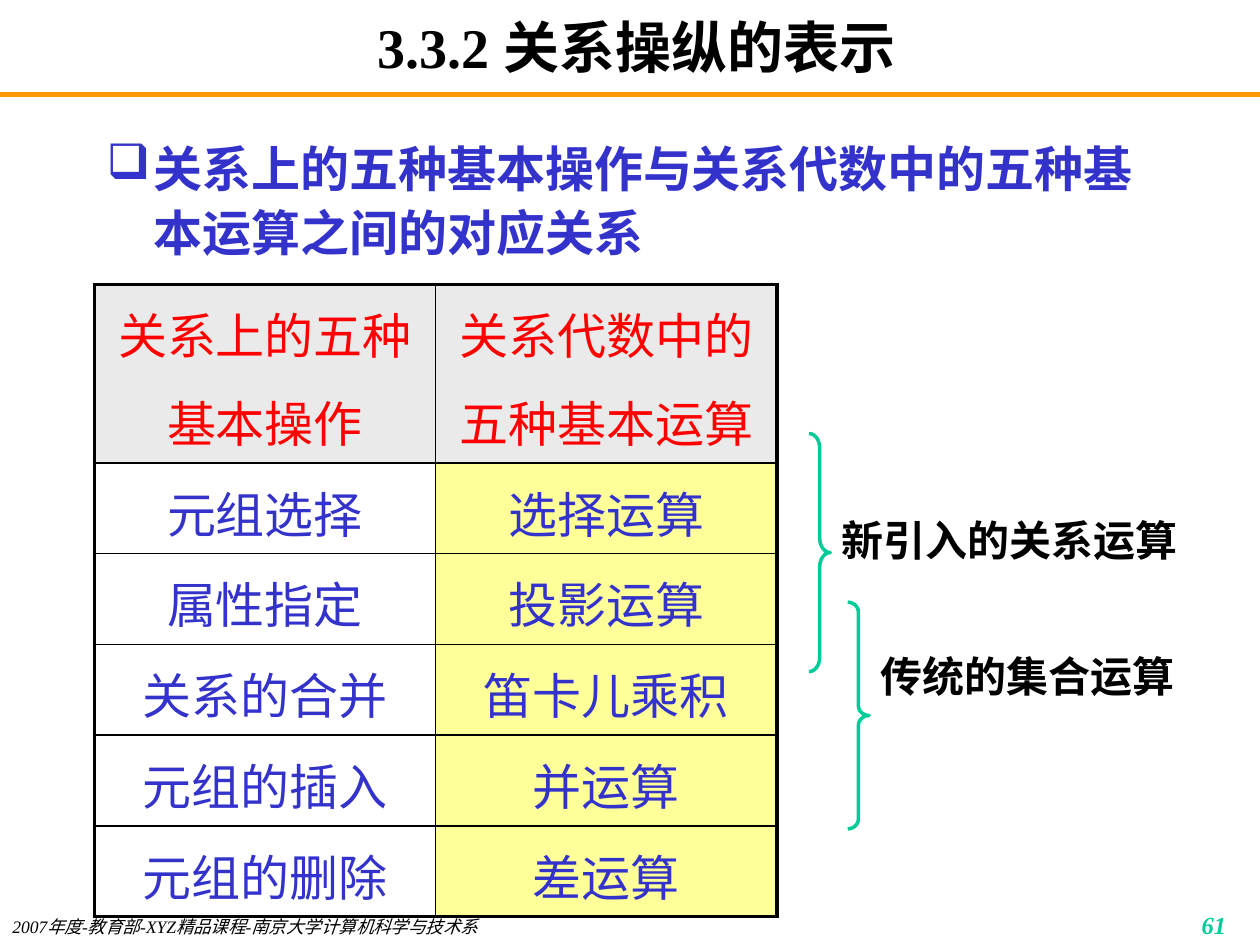
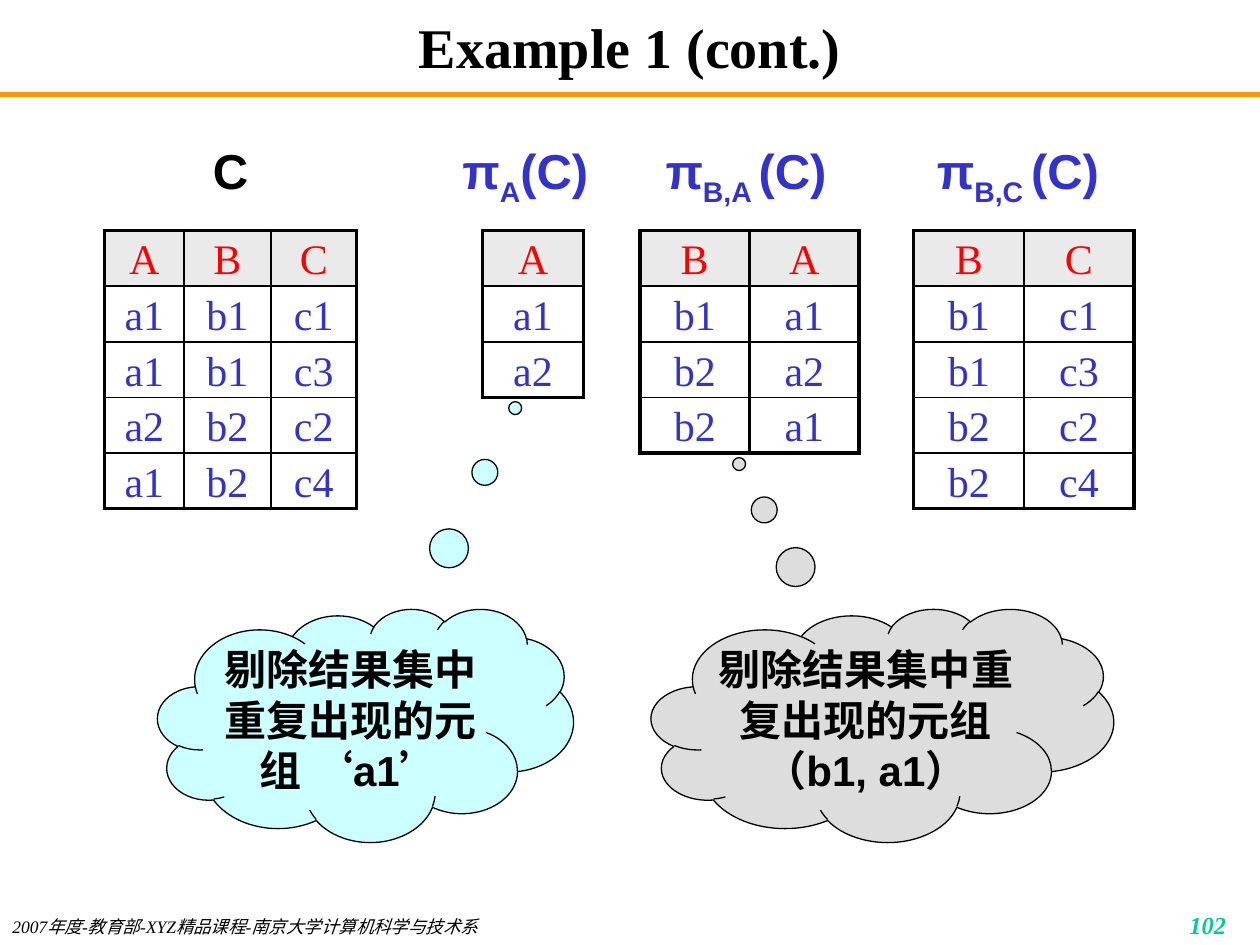
from dataclasses import dataclass
from typing import Optional

from lxml.etree import SubElement
from pptx import Presentation
from pptx.dml.color import RGBColor
from pptx.enum.shapes import MSO_CONNECTOR, MSO_SHAPE
from pptx.enum.text import MSO_ANCHOR, PP_ALIGN
from pptx.oxml.ns import qn
from pptx.util import Cm, Pt


@dataclass(frozen=True)
class Theme:
    serif: str = "Times New Roman"
    sans: str = "Arial"
    chinese: str = "Noto Sans CJK SC"
    black: str = "000000"
    blue: str = "3333CC"
    red: str = "FF0000"
    green: str = "00CC99"
    orange: str = "FF9900"
    header_fill: str = "EAEAEA"
    yellow: str = "FFFF99"
    cyan: str = "CCFFFF"
    grey: str = "DDDDDD"
    title_size: int = 32
    large: int = 28
    medium: int = 24
    page_size: int = 14
    footer_size: int = 10
    outer_line: float = 2.25
    inner_line: float = 1


THEME = Theme()
FOOTER = "2007年度-教育部-XYZ精品课程-南京大学计算机科学与技术系"


@dataclass(frozen=True)
class Box:
    """A place on the slide, in centimetres."""
    left: float
    top: float
    width: float
    height: float

    def lengths(self) -> tuple:
        return Cm(self.left), Cm(self.top), Cm(self.width), Cm(self.height)


@dataclass(frozen=True)
class Grid:
    left: float
    top: float
    columns: tuple
    row_heights: tuple
    rows: tuple
    size: int
    margin: float
    column_line: float = THEME.inner_line
    last_column_fill: Optional[str] = None


@dataclass(frozen=True)
class Relation:
    """A relation on the projection slide, with its heading."""
    name: str
    subscript: str
    color: str
    heading_left: float
    left: float
    columns: tuple
    rows: tuple
    column_line: float = THEME.inner_line


@dataclass(frozen=True)
class BracedGroup:
    label: str
    brace: Box
    curl: float
    label_box: Box


@dataclass(frozen=True)
class Cloud:
    thought: str
    box: Box
    tail: tuple
    fill: str


def rgb(color: str) -> RGBColor:
    return RGBColor.from_string(color)


def add_run(paragraph, text: str, *, size: float, color: str = THEME.black,
            font: str = THEME.serif, bold: bool = False, italic: bool = False,
            baseline: int = 0) -> None:
    run = paragraph.add_run()
    run.text = text
    run.font.size = Pt(size)
    run.font.name = font
    run.font.bold = bold
    run.font.italic = italic
    run.font.color.rgb = rgb(color)
    properties = run.font._element
    properties.set("lang", "zh-CN")
    if baseline:
        properties.set("baseline", str(baseline * 1000))
    SubElement(properties, qn("a:ea")).set("typeface", THEME.chinese)


def set_margins(frame, side: float, end: float) -> None:
    frame.margin_left = frame.margin_right = Cm(side)
    frame.margin_top = frame.margin_bottom = Cm(end)


def add_box(slide, box: Box, align=PP_ALIGN.LEFT, anchor=MSO_ANCHOR.TOP,
            end_margin: float = 0.13):
    """Add a wrapping text box and return its first paragraph."""
    frame = slide.shapes.add_textbox(*box.lengths()).text_frame
    frame.word_wrap = True
    frame.vertical_anchor = anchor
    set_margins(frame, 0.25, end_margin)
    frame.paragraphs[0].alignment = align
    return frame.paragraphs[0]


def add_base(presentation, title: str, page: int):
    """Add a slide with the title, rule, footer and page number."""
    slide = presentation.slides.add_slide(presentation.slide_layouts[6])
    rule = slide.shapes.add_connector(
        MSO_CONNECTOR.STRAIGHT, Cm(0), Cm(1.9), Cm(25.4), Cm(1.9))
    rule.line.color.rgb = rgb(THEME.orange)
    rule.line.width = Pt(3)
    SubElement(rule._element.spPr, qn("a:effectLst"))
    add_run(add_box(slide, Box(0, 18.34, 15.5, 0.71)), FOOTER,
            size=THEME.footer_size, italic=True)
    add_run(add_box(slide, Box(19.69, 18.21, 5.28, 0.64), PP_ALIGN.RIGHT),
            str(page), size=THEME.page_size, color=THEME.green, bold=True, italic=True)
    add_run(add_box(slide, Box(1.9, 0.2, 21.6, 1.47), PP_ALIGN.CENTER, MSO_ANCHOR.MIDDLE),
            title, size=THEME.title_size, bold=True)
    return slide


def add_border(cell, side: str, width: float) -> None:
    line = SubElement(cell._tc.get_or_add_tcPr(), qn(f"a:ln{side}"), w=str(Pt(width)))
    SubElement(SubElement(line, qn("a:solidFill")), qn("a:srgbClr"), val=THEME.black)


def fill_cell(cell, text: str, grid: Grid, row: int, column: int) -> None:
    last_row, last_column = len(grid.rows) - 1, len(grid.columns) - 1
    for side, is_edge, inner in (
            ("L", column == 0, grid.column_line),
            ("R", column == last_column, grid.column_line),
            ("T", row == 0, THEME.inner_line),
            ("B", row == last_row, THEME.inner_line)):
        add_border(cell, side, THEME.outer_line if is_edge else inner)
    fill = THEME.header_fill if row == 0 else (
        grid.last_column_fill if column == last_column else None)
    if fill:
        cell.fill.solid()
        cell.fill.fore_color.rgb = rgb(fill)
    else:
        cell.fill.background()
    set_margins(cell, 0.25, grid.margin)
    cell.vertical_anchor = MSO_ANCHOR.MIDDLE
    for number, words in enumerate(text.split("\n")):
        frame = cell.text_frame
        paragraph = frame.add_paragraph() if number else frame.paragraphs[0]
        paragraph.alignment = PP_ALIGN.CENTER
        paragraph.line_spacing = 1.1
        if number:
            paragraph.space_before = Pt(grid.size * 0.2)
        add_run(paragraph, words, size=grid.size,
                color=THEME.blue if row else THEME.red)


def add_grid(slide, grid: Grid) -> None:
    box = Box(grid.left, grid.top, sum(grid.columns), sum(grid.row_heights))
    table = slide.shapes.add_table(
        len(grid.rows), len(grid.columns), *box.lengths()).table
    table.first_row = table.horz_banding = False
    for column, width in zip(table.columns, grid.columns):
        column.width = Cm(width)
    for row, height in zip(table.rows, grid.row_heights):
        row.height = Cm(height)
    for row, texts in enumerate(grid.rows):
        for column, text in enumerate(texts):
            fill_cell(table.cell(row, column), text, grid, row, column)


def add_preset(slide, preset, box: Box, adjustments: tuple, *, line: str,
               width: float, fill: Optional[str] = None):
    shape = slide.shapes.add_shape(preset, *box.lengths())
    shape.shadow.inherit = False
    for index, value in enumerate(adjustments):
        shape.adjustments[index] = value
    shape.line.color.rgb = rgb(line)
    shape.line.width = Pt(width)
    if fill:
        shape.fill.solid()
        shape.fill.fore_color.rgb = rgb(fill)
    else:
        shape.fill.background()
    return shape


def add_bullet(slide, box: Box, text: str) -> None:
    paragraph = add_box(slide, box)
    properties = paragraph._p.get_or_add_pPr()
    properties.set("marL", str(Cm(0.95)))
    properties.set("indent", str(-Cm(0.95)))
    SubElement(properties, qn("a:buChar")).set("char", "❑")
    paragraph.line_spacing = 1.1
    add_run(paragraph, text, size=THEME.large, color=THEME.blue, bold=True)


def add_braced_group(slide, group: BracedGroup) -> None:
    add_preset(slide, MSO_SHAPE.RIGHT_BRACE, group.brace, (group.curl, 0.5),
               line=THEME.green, width=2)
    add_run(add_box(slide, group.label_box), group.label, size=THEME.medium, bold=True)


def add_relation(slide, relation: Relation) -> None:
    count = len(relation.rows)
    add_grid(slide, Grid(relation.left, 4.65, relation.columns, (1.12,) * count,
                         relation.rows, THEME.medium, 0, relation.column_line))
    heading = add_box(slide, Box(relation.heading_left, 2.84, 5.08, 1.19),
                      PP_ALIGN.CENTER, end_margin=0)
    parts = ((relation.name, 0),)
    if relation.subscript:
        parts = (("π", 0), (relation.subscript, -25), (f"({relation.name})", 0))
    for text, baseline in parts:
        add_run(heading, text, size=THEME.large, color=relation.color,
                font=THEME.sans, bold=True, baseline=baseline)


def add_cloud(slide, cloud: Cloud) -> None:
    shape = add_preset(slide, MSO_SHAPE.CLOUD_CALLOUT, cloud.box, cloud.tail,
                       line=THEME.black, width=0.75, fill=cloud.fill)
    frame = shape.text_frame
    frame.word_wrap = True
    frame.vertical_anchor = MSO_ANCHOR.TOP
    set_margins(frame, 0, 0)
    frame.paragraphs[0].alignment = PP_ALIGN.CENTER
    add_run(frame.paragraphs[0], cloud.thought, size=THEME.medium,
            font=THEME.sans, bold=True)


OPERATIONS = Grid(
    1.9, 5.74, (6.88, 6.88), (3.59,) + (1.83,) * 5,
    (("关系上的五种\n基本操作", "关系代数中的\n五种基本运算"),
     ("元组选择", "选择运算"),
     ("属性指定", "投影运算"),
     ("关系的合并", "笛卡儿乘积"),
     ("元组的插入", "并运算"),
     ("元组的删除", "差运算")),
    THEME.large, 0.13, last_column_fill=THEME.yellow)

GROUPS = (
    BracedGroup("传统的集合运算", Box(17.09, 12.14, 0.43, 4.57), 0.46,
                Box(17.5, 12.98, 7.19, 1.27)),
    BracedGroup("新引入的关系运算", Box(16.31, 8.74, 0.43, 4.8), 0.66,
                Box(16.71, 10.24, 7.62, 1.27)),
)

RELATIONS = (
    Relation("C", "", THEME.black, 2.11, 2.11, (1.6, 1.75, 1.73),
             ("ABC", ("a1", "b1", "c1"), ("a1", "b1", "c3"),
              ("a2", "b2", "c2"), ("a1", "b2", "c4"))),
    Relation("C", "A", THEME.blue, 8.05, 9.73, (2.03,),
             ("A", ("a1",), ("a2",))),
    Relation("C", "B,A ", THEME.blue, 12.5, 12.9, (2.21, 2.21),
             ("BA", ("b1", "a1"), ("b2", "a2"), ("b2", "a1")),
             column_line=THEME.outer_line),
    Relation("C", "B,C ", THEME.blue, 17.98, 18.42, (2.22, 2.22),
             ("BC", ("b1", "c1"), ("b1", "c3"), ("b2", "c2"), ("b2", "c4"))),
)

CLOUDS = (
    Cloud("剔除结果集中重复出现的元组 ‘a1’", Box(3.18, 12.27, 8.38, 4.7),
          (0.36, -1.36), THEME.cyan),
    Cloud("剔除结果集中重复出现的元组（b1, a1）", Box(13.13, 12.27, 9.32, 4.7),
          (-0.31, -1.12), THEME.grey),
)


def main() -> None:
    presentation = Presentation()
    presentation.slide_width, presentation.slide_height = Cm(25.4), Cm(19.05)

    operations = add_base(presentation, " 3.3.2 关系操纵的表示", 61)
    add_bullet(operations, Box(1.9, 2.54, 21.6, 15.04),
               "关系上的五种基本操作与关系代数中的五种基本运算之间的对应关系")
    add_grid(operations, OPERATIONS)
    for group in GROUPS:
        add_braced_group(operations, group)

    projections = add_base(presentation, "Example 1 (cont.)", 102)
    for relation in RELATIONS:
        add_relation(projections, relation)
    for cloud in CLOUDS:
        add_cloud(projections, cloud)

    presentation.save("out.pptx")


if __name__ == "__main__":
    main()
